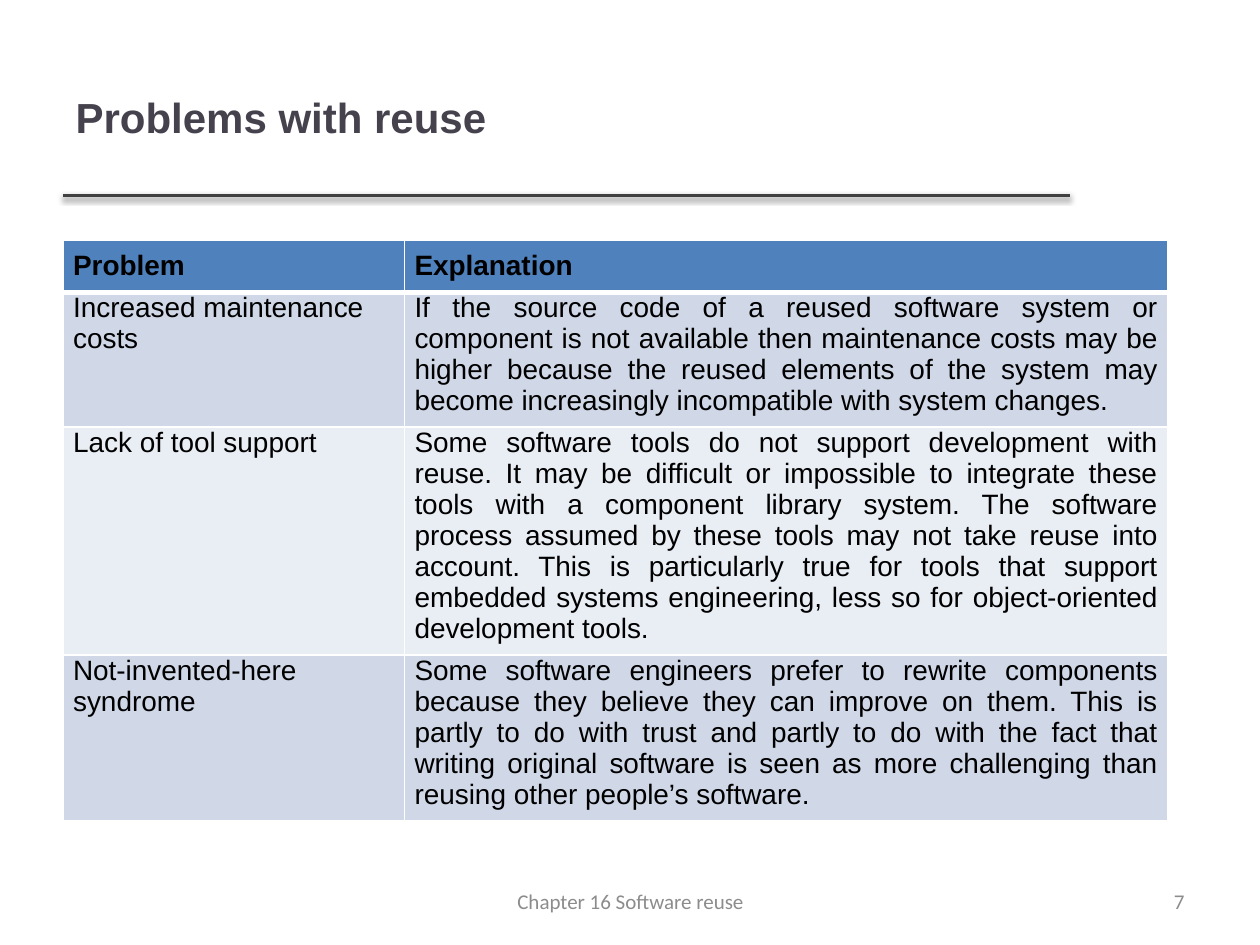
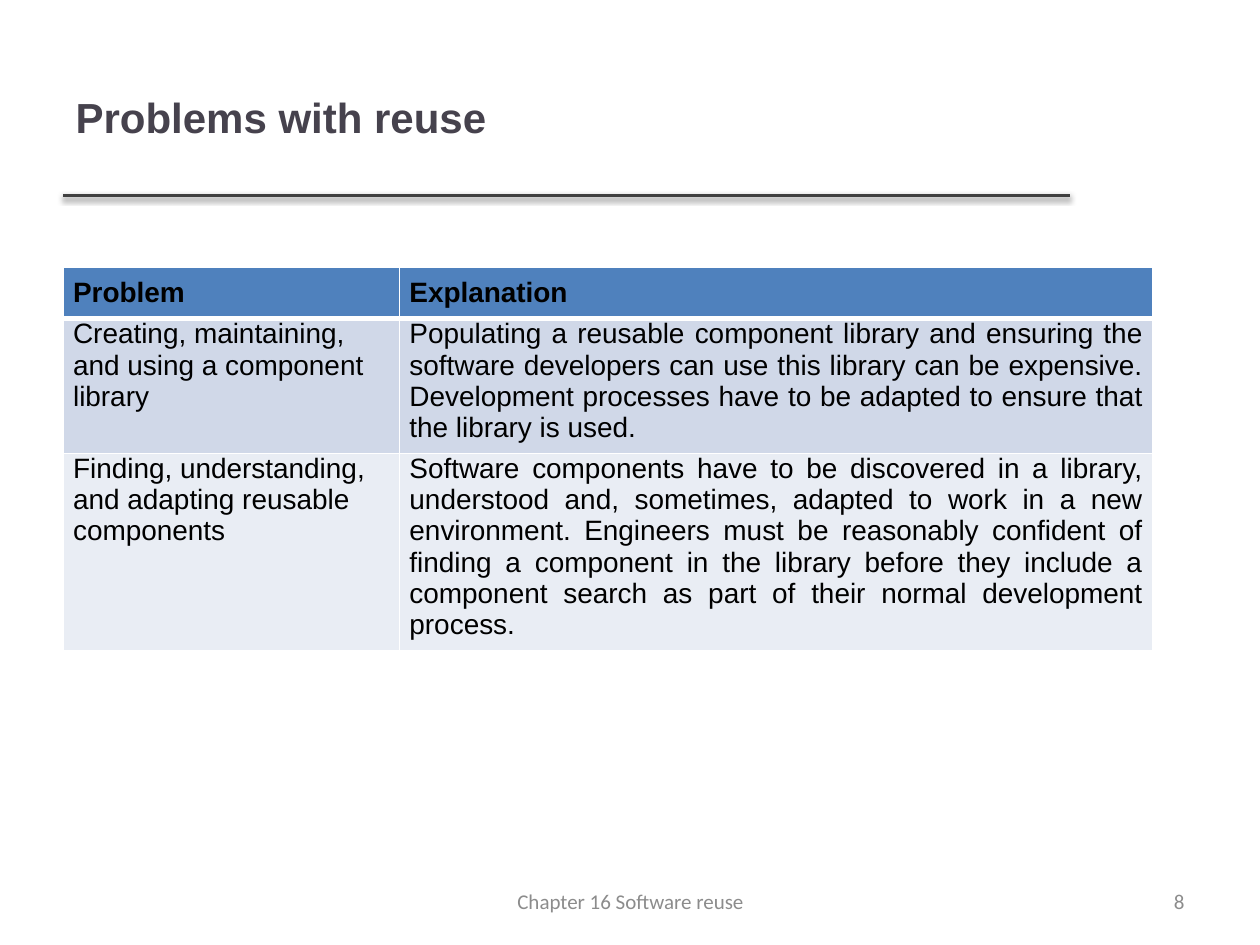
from dataclasses import dataclass

from lxml import etree
from pptx import Presentation
from pptx import util as u
from pptx.dml.color import RGBColor
from pptx.enum import shapes, text
from pptx.oxml import ns


@dataclass(frozen=True)
class Theme:
    heading_font: str = "Arial"
    footer_font: str = "Calibri"
    title_size: int = 24
    table_size: int = 16
    footer_size: int = 12
    title: str = "46424D"
    rule: str = "404040"
    shadow: str = "000000"
    body: str = "000000"
    footer: str = "8C8C8C"
    header_fill: str = "4F81BD"
    band_fills: tuple[str, str] = ("D0D8E8", "E9EDF4")
    border: str = "FFFFFF"
    border_width: float = 1
    header_border_width: float = 3


@dataclass(frozen=True)
class Box:
    left: float
    top: float
    width: float
    height: float

    def lengths(self) -> list[u.Length]:
        return [u.Inches(side) for side in (self.left, self.top, self.width, self.height)]


@dataclass(frozen=True)
class Row:
    problem: str
    explanation: str
    height: float


@dataclass(frozen=True)
class ProblemSlide:
    number: int
    table_top: float
    column_widths: tuple[float, float]
    rows: tuple[Row, ...]


THEME = Theme()
TITLE = "Problems with reuse"
FOOTER = "Chapter 16 Software reuse"
HEADER = Row("Problem", "Explanation", 0.41)
LEFT_MARGIN = 0.5
RULE_RIGHT, RULE_TOP = 8.49, 1.55
TITLE_BOX = Box(LEFT_MARGIN, 0.3, 7.98, 1.25)
FOOTER_BOX = Box(3.42, 6.95, 3.17, 0.4)
NUMBER_BOX = Box(7.17, 6.95, 2.33, 0.4)
CELL_MARGIN = 0.08

SLIDES = (
    ProblemSlide(7, 1.91, (2.71, 6.06), (
        Row("Increased maintenance costs",
            "If the source code of a reused software system or component is not available then "
            "maintenance costs may be higher because the reused elements of the system may become "
            "increasingly incompatible with system changes.", 1.07),
        Row("Lack of tool support",
            "Some software tools do not support development with reuse. It may be difficult or "
            "impossible to integrate these tools with a component library system. The software "
            "process assumed by these tools may not take reuse into account. This is particularly "
            "true for tools that support embedded systems engineering, less so for "
            "object-oriented development tools.", 1.81),
        Row("Not-invented-here syndrome",
            "Some software engineers prefer to rewrite components because they believe they can "
            "improve on them. This is partly to do with trust and partly to do with the fact that "
            "writing original software is seen as more challenging than reusing other people’s "
            "software.", 1.31),
    )),
    ProblemSlide(8, 2.12, (2.67, 5.98), (
        Row("Creating, maintaining, and using a component library",
            "Populating a reusable component library and ensuring the software developers can use "
            "this library can be expensive. Development processes have to be adapted to ensure "
            "that the library is used.", 1.07),
        Row("Finding, understanding, and adapting reusable components",
            "Software components have to be discovered in a library, understood and, sometimes, "
            "adapted to work in a new environment. Engineers must be reasonably confident of "
            "finding a component in the library before they include a component search as part "
            "of their normal development process.", 1.56),
    )),
)


def write_text(frame, content: str, *, size: int, color: str, font: str = THEME.heading_font,
               bold: bool = False, align=text.PP_ALIGN.LEFT) -> None:
    paragraph = frame.paragraphs[0]
    paragraph.alignment = align
    run = paragraph.add_run()
    run.text = content
    run.font.name = font
    run.font.size = u.Pt(size)
    run.font.bold = bold
    run.font.color.rgb = RGBColor.from_string(color)


def add_element(parent, tag: str, **attributes):
    values = {name: str(value) for name, value in attributes.items()}
    return etree.SubElement(parent, ns.qn(tag), values)


def add_title(slide) -> None:
    title = slide.shapes.title
    title.left, title.top, title.width, title.height = TITLE_BOX.lengths()
    title.text_frame.vertical_anchor = text.MSO_ANCHOR.MIDDLE
    write_text(title.text_frame, TITLE, size=THEME.title_size, color=THEME.title, bold=True)


def add_rule(slide) -> None:
    top = u.Inches(RULE_TOP)
    rule = slide.shapes.add_connector(shapes.MSO_CONNECTOR.STRAIGHT, u.Inches(LEFT_MARGIN), top,
                                      u.Inches(RULE_RIGHT), top)
    rule.line.color.rgb = RGBColor.from_string(THEME.rule)
    rule.line.width = u.Pt(2)
    effects = add_element(rule._element.spPr, "a:effectLst")
    shadow = add_element(effects, "a:outerShdw", blurRad=u.Pt(3.1), dist=u.Pt(1.6),
                         dir=90 * 60000, rotWithShape=0)
    color = add_element(shadow, "a:srgbClr", val=THEME.shadow)
    add_element(color, "a:alpha", val=38000)


def add_footer_text(slide, box: Box, content: str, align) -> None:
    frame = slide.shapes.add_textbox(*box.lengths()).text_frame
    frame.word_wrap = True
    frame.vertical_anchor = text.MSO_ANCHOR.MIDDLE
    write_text(frame, content, size=THEME.footer_size, color=THEME.footer,
               font=THEME.footer_font, align=align)


def add_borders(cell, top: float, bottom: float) -> None:
    widths = {"a:lnL": THEME.border_width, "a:lnR": THEME.border_width,
              "a:lnT": top, "a:lnB": bottom}
    properties = cell._tc.get_or_add_tcPr()
    for tag, width in widths.items():
        line = add_element(properties, tag, w=u.Pt(width))
        add_element(add_element(line, "a:solidFill"), "a:srgbClr", val=THEME.border)


def format_cell(cell, content: str, row: int, column: int) -> None:
    is_header = row == 0
    cell.margin_left = cell.margin_right = cell.margin_bottom = u.Inches(CELL_MARGIN)
    cell.margin_top = u.Inches(CELL_MARGIN if is_header else 0)
    add_borders(cell,
                top=THEME.header_border_width if row == 1 else THEME.border_width,
                bottom=THEME.header_border_width if is_header else THEME.border_width)
    fill = THEME.header_fill if is_header else THEME.band_fills[(row - 1) % 2]
    cell.fill.solid()
    cell.fill.fore_color.rgb = RGBColor.from_string(fill)
    justified = is_header or column == 1
    write_text(cell.text_frame, content, size=THEME.table_size, color=THEME.body, bold=is_header,
               align=text.PP_ALIGN.JUSTIFY if justified else text.PP_ALIGN.LEFT)


def add_problem_table(slide, content: ProblemSlide) -> None:
    rows = (HEADER, *content.rows)
    box = Box(LEFT_MARGIN, content.table_top, sum(content.column_widths),
              sum(row.height for row in rows))
    table = slide.shapes.add_table(len(rows), 2, *box.lengths()).table
    for column, width in zip(table.columns, content.column_widths):
        column.width = u.Inches(width)
    for row_index, row in enumerate(rows):
        table.rows[row_index].height = u.Inches(row.height)
        for column_index, value in enumerate((row.problem, row.explanation)):
            format_cell(table.cell(row_index, column_index), value, row_index, column_index)


def add_problem_slide(presentation, content: ProblemSlide) -> None:
    slide = presentation.slides.add_slide(presentation.slide_layouts.get_by_name("Title Only"))
    add_rule(slide)
    add_title(slide)
    add_problem_table(slide, content)
    add_footer_text(slide, NUMBER_BOX, str(content.number), text.PP_ALIGN.RIGHT)
    add_footer_text(slide, FOOTER_BOX, FOOTER, text.PP_ALIGN.CENTER)


def main() -> None:
    presentation = Presentation()
    presentation.slide_width = u.Inches(10)
    presentation.slide_height = u.Inches(7.5)
    for content in SLIDES:
        add_problem_slide(presentation, content)
    presentation.save("out.pptx")


if __name__ == "__main__":
    main()
